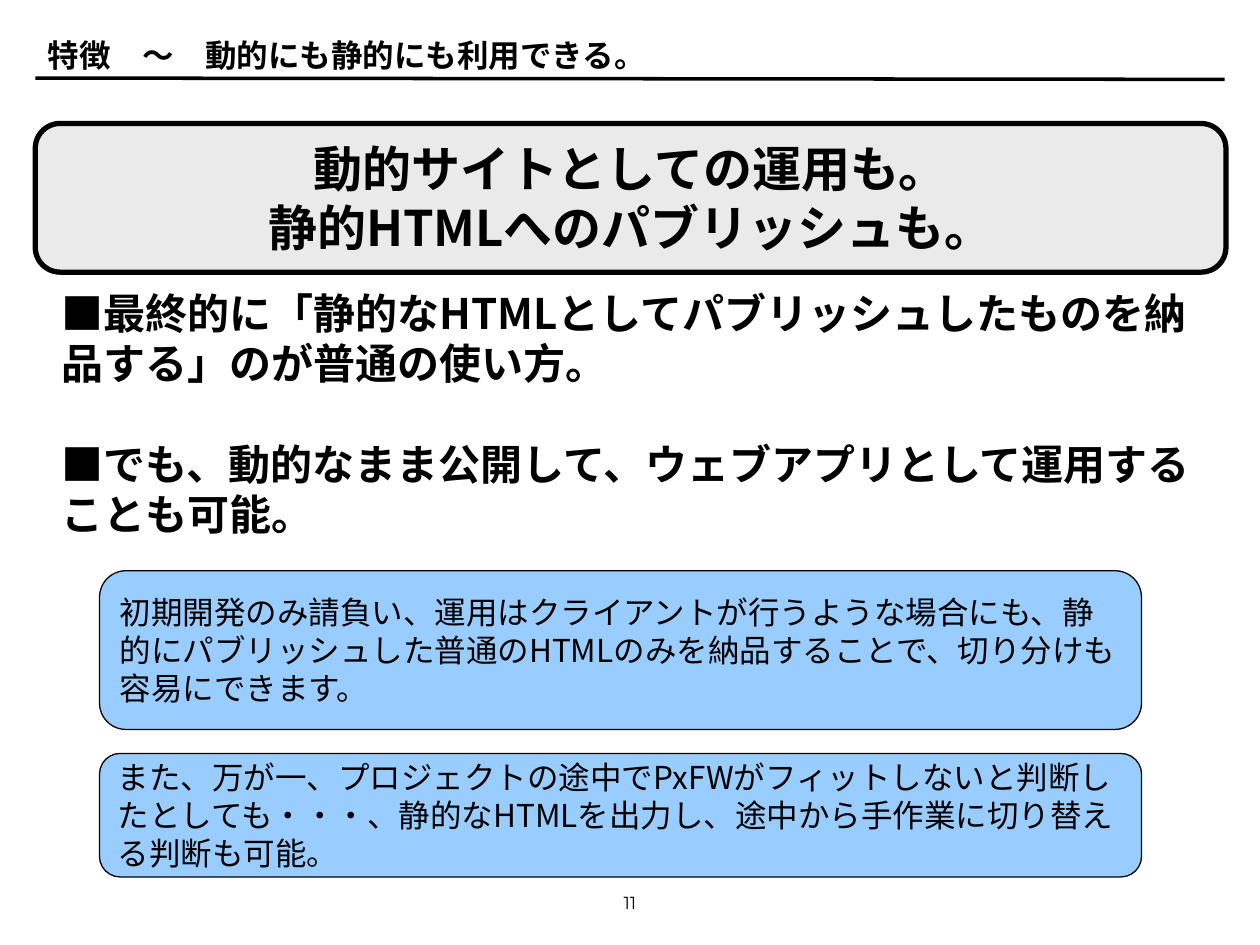
from dataclasses import dataclass

from lxml import etree
from pptx import Presentation
from pptx.dml.color import RGBColor
from pptx.enum import shapes, text
from pptx.oxml import ns
from pptx.util import Inches, Pt


@dataclass(frozen=True)
class Theme:
    black: RGBColor = RGBColor(0, 0, 0)
    grey: RGBColor = RGBColor(0xEA, 0xEA, 0xEA)
    blue: RGBColor = RGBColor(0x99, 0xCC, 0xFF)
    font: str = "Noto Sans CJK JP"
    number_font: str = "Montserrat"
    headline: int = 28
    body: int = 24
    note: int = 18
    number: int = 10


theme = Theme()
LEFT, ALIGN = text.PP_ALIGN.LEFT, text.PP_ALIGN.CENTER


def write(shape, lines, size, bold=False, align=LEFT, leading=1.2, gap=0,
          font=theme.font, anchor=text.MSO_ANCHOR.MIDDLE, wrap=True):
    frame = shape.text_frame
    frame.word_wrap = wrap
    frame.vertical_anchor = anchor
    frame.text = "\n".join(lines)
    for index, paragraph in enumerate(frame.paragraphs):
        paragraph.alignment = align
        paragraph.line_spacing = Pt(size * leading)
        if index and gap:
            paragraph.space_before = Pt(gap)
        paragraph.font.name = font
        paragraph.font.size = Pt(size)
        paragraph.font.bold = bold
        paragraph.font.color.rgb = theme.black
        # East Asian glyphs take their own typeface
        for run in paragraph.runs:
            east_asian = etree.SubElement(run._r.get_or_add_rPr(), ns.qn("a:ea"))
            east_asian.set("typeface", theme.font)


def rounded_box(left, top, width, height, fill, line_width):
    box = slide.shapes.add_shape(
        shapes.MSO_SHAPE.ROUNDED_RECTANGLE,
        Inches(left), Inches(top), Inches(width), Inches(height))
    box.shadow.inherit = False
    box.fill.solid()
    box.fill.fore_color.rgb = fill
    box.line.color.rgb = theme.black
    box.line.width = Pt(line_width)
    return box


deck = Presentation()
deck.slide_width, deck.slide_height = Inches(10), Inches(7.5)
slide = deck.slides.add_slide(deck.slide_layouts[6])

# Title and the rule under it
rule = slide.shapes.add_connector(
    shapes.MSO_CONNECTOR.STRAIGHT,
    Inches(0.28), Inches(0.62), Inches(9.72), Inches(0.63))
rule.line.color.rgb = theme.black
rule.line.width = Pt(2)
etree.SubElement(rule._element.spPr, ns.qn("a:effectLst"))

title = slide.shapes.add_textbox(Inches(0.28), Inches(0.16), Inches(9.45), Inches(0.48))
write(title, ["特徴　～　動的にも静的にも利用できる。"], theme.note, bold=True, leading=1.5)

# Headline
headline = rounded_box(0.28, 0.98, 9.45, 1.18, theme.grey, 3)
write(headline, ["動的サイトとしての運用も。", "静的HTMLへのパブリッシュも。"],
      theme.headline, bold=True, align=ALIGN, wrap=False)

# Two main points
points = slide.shapes.add_textbox(Inches(0.39), Inches(2.23), Inches(9.25), Inches(2.1))
write(points, [
    "■最終的に「静的なHTMLとしてパブリッシュしたものを納品する」のが普通の使い方。",
    "■でも、動的なまま公開して、ウェブアプリとして運用することも可能。",
], theme.body, bold=True, gap=theme.body * 1.2)

# Supporting notes
notes = [
    (4.53, 1.26, "初期開発のみ請負い、運用はクライアントが行うような場合にも、"
                 "静的にパブリッシュした普通のHTMLのみを納品することで、切り分けも容易にできます。"),
    (5.98, 0.98, "また、万が一、プロジェクトの途中でPxFWがフィットしないと判断したとしても・・・、"
                 "静的なHTMLを出力し、途中から手作業に切り替える判断も可能。"),
]
for top, height, note in notes:
    write(rounded_box(0.79, top, 8.27, height, theme.blue, 0.75), [note], theme.note)

# Page number
number = slide.shapes.add_textbox(Inches(3.11), Inches(7), Inches(3.78), Inches(0.29))
write(number, ["11"], theme.number, align=ALIGN, leading=1.4,
      font=theme.number_font, anchor=text.MSO_ANCHOR.TOP)

deck.save("out.pptx")
